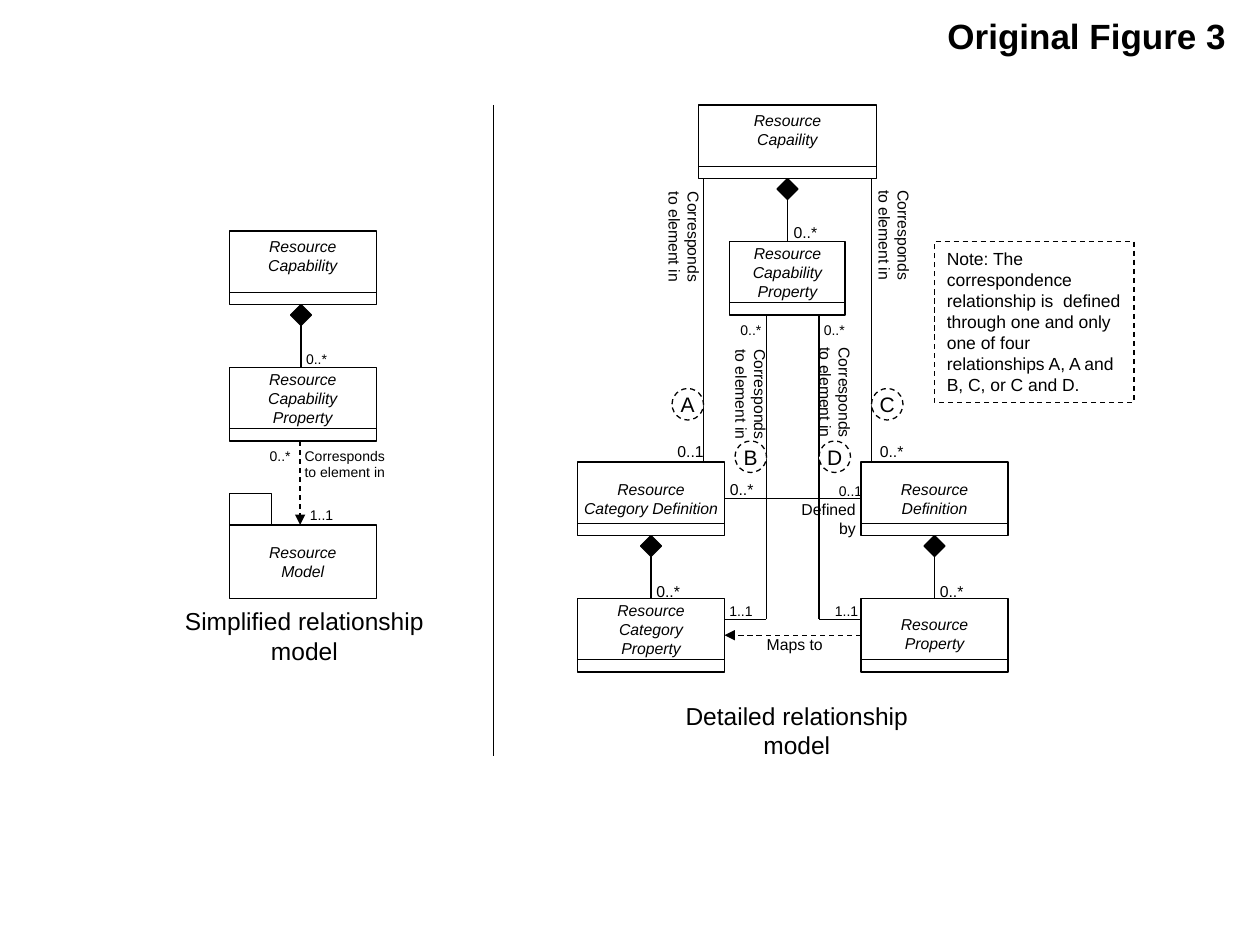
from pptx import Presentation
from pptx.dml.color import RGBColor as Rgb
from pptx.enum.dml import MSO_LINE as Dash
from pptx.enum.shapes import MSO_CONNECTOR as Conn, MSO_SHAPE as Kind
from pptx.enum.text import MSO_ANCHOR as Anchor, PP_ALIGN as Align
from pptx.oxml.ns import qn
from pptx.util import Pt
from lxml.etree import SubElement as Sub

INK = {"black": "000000", "white": "FFFFFF"}
TOP, MID = Anchor.TOP, Anchor.MIDDLE
LEFT, MIDDLE, RIGHT = Align.LEFT, Align.CENTER, Align.RIGHT
WIDE, HIGH = 84, 42
LINK = "Corresponds\nto element in"


def tint(name):
    return Rgb.from_string(INK[name])


def apply(item, vals):
    for key, val in vals.items():
        setattr(item, key, val)


def pen(line, dash=False):
    line.color.rgb = tint("black")
    line.width = Pt(0.75)
    if dash:
        line.dash_style = Dash.DASH


def write(shape, text, size, align=LEFT, anchor=TOP, wrap=False, inset=3.6, **style):
    frame = shape.text_frame
    apply(frame, {"text": text, "word_wrap": wrap, "vertical_anchor": anchor,
                  "margin_left": Pt(7.2), "margin_right": Pt(7.2),
                  "margin_top": Pt(inset), "margin_bottom": Pt(3.6)})
    for para in frame.paragraphs:
        para.alignment = align
        for run in para.runs:
            apply(run.font, {"name": "Arial", "size": Pt(size), **style})
            run.font.color.rgb = tint("black")


def label(pool, x, y, w, h, text, size, align=LEFT, turn=0, **style):
    box = pool.add_textbox(Pt(x), Pt(y), Pt(w), Pt(h))
    box.rotation = turn
    write(box, text, size, align, **style)


def form(pool, kind, x, y, w, h, fill="white", dash=False):
    shape = pool.add_shape(kind, Pt(x), Pt(y), Pt(w), Pt(h))
    shape.shadow.inherit = False
    if fill:
        shape.fill.solid()
        shape.fill.fore_color.rgb = tint(fill)
    else:
        shape.fill.background()
    pen(shape.line, dash)
    return shape


def line(pool, x, y, to_x, to_y, arrow=False):
    link = pool.add_connector(Conn.STRAIGHT, Pt(x), Pt(y), Pt(to_x), Pt(to_y))
    pen(link.line, arrow)
    props = link._element.spPr
    if arrow:
        Sub(props.find(qn("a:ln")), qn("a:tailEnd"), type="triangle")
    Sub(props, qn("a:effectLst"))


def entity(pool, x, y, text, w=WIDE, anchor=TOP, inset=3.6):
    group = pool.add_group_shape().shapes
    box = form(group, Kind.RECTANGLE, x, y, w, HIGH)
    write(box, text, 9, MIDDLE, anchor, inset=inset, italic=True)
    line(group, x, y + 35, x + w, y + 35)


def package(pool, x, y, text):
    group = pool.add_group_shape().shapes
    box = form(group, Kind.RECTANGLE, x, y, WIDE, HIGH)
    write(box, text, 9, MIDDLE, MID, italic=True)
    form(group, Kind.RECTANGLE, x, y - 18, 24, 18)


def owns(pool, x, y):
    line(pool, x, y, x, y + 36)
    form(pool, Kind.DIAMOND, x - 6, y, 12, 12, "black")


def simple(pool, x, y):
    entity(pool, x, y, "Resource\nCapability")
    entity(pool, x, y + 78, "Resource\nCapability\nProperty", inset=1.44)
    package(pool, x, y + 168, "Resource\nModel")
    owns(pool, x + 41, y + 42)
    line(pool, x + 40.5, y + 120, x + 40.5, y + 168, True)
    for dx, dy, w, h, text in (
            (16, 120, 26.6, 17, "0..*"), (39, 154, 28, 17, "1..1"),
            (36.8, 64.6, 26.6, 17, "0..*"), (36, 120, 60.5, 26.6, LINK)):
        label(pool, x + dx, y + dy, w, h, text, 8)
    label(pool, x - 33, y + 211, 152, 41, "Simplified relationship\nmodel", 14, MIDDLE)


def detail(pool, x, y):
    entity(pool, x + 69, y, "Resource\nCapaility", 102)
    entity(pool, x + 87, y + 78, "Resource\nCapability\nProperty", 66, inset=1.44)
    entity(pool, x, y + 204, "Resource\nCategory Definition", anchor=MID)
    entity(pool, x + 162, y + 204, "Resource\nDefinition", anchor=MID)
    entity(pool, x, y + 282, "Resource\nCategory\nProperty", inset=1.44)
    entity(pool, x + 162, y + 282, "Resource\nProperty", anchor=MID, inset=1.44)

    for dx, dy in ((120, 42), (42, 246), (204, 246)):
        owns(pool, x + dx, y + dy)
    for dx in (72, 168):
        line(pool, x + dx, y + 42, x + dx, y + 204)
    for dx, end in ((108, 84), (138, 162)):
        line(pool, x + dx, y + 120, x + dx, y + 294)
        line(pool, x + dx, y + 294, x + end, y + 294)
    line(pool, x + 162, y + 225, x + 84, y + 225)
    line(pool, x + 162, y + 303, x + 84, y + 303, True)

    for dx, dy, text in ((86, 120, "0..*"), (133.7, 120, "0..*"), (79.7, 281, "1..1"),
                         (140, 281, "1..1"), (142.3, 212, "0..1")):
        label(pool, x + dx, y + dy, 28 if "1" in text else 26.6, 17, text, 8)
    for dx, dy, w, h, text, align in (
            (116.4, 64, 28, 18, "0..*", LEFT), (50, 189, 29.5, 18, "0..1", LEFT),
            (38, 269, 28, 18, "0..*", LEFT), (200, 269, 28, 18, "0..*", LEFT),
            (165.4, 189, 28, 18, "0..*", RIGHT), (79.7, 210.7, 28, 18, "0..*", RIGHT),
            (100.6, 299.3, 47, 18, "Maps to", MIDDLE),
            (120.7, 222.2, 45.4, 29, "Defined\nby", RIGHT)):
        label(pool, x + dx, y + dy, w, h, text, 9, align)
    for dx, dy in ((28, 61), (148, 60), (114.2, 150), (66, 151)):
        label(pool, x + dx, y + dy, 66, 29, LINK, 9, turn=90)

    for dx, dy, text in ((54, 162, "A"), (90, 192, "B"), (138, 192, "D"), (168, 162, "C")):
        mark = form(pool, Kind.OVAL, x + dx, y + dy, 18, 18, dash=True)
        write(mark, text, 12, MIDDLE, MID)
    note = form(pool, Kind.RECTANGLE, x + 204, y + 78, 114, 92, None, True)
    write(note, "Note: The correspondence relationship is  defined through one and only "
          "one of four relationships A, A and B, C, or C and D.", 10, wrap=True)
    label(pool, x + 54, y + 337, 142.6, 41, "Detailed relationship\nmodel", 14, MIDDLE)


deck = Presentation()
apply(deck, {"slide_width": Pt(720), "slide_height": Pt(540)})
pool = deck.slides.add_slide(deck.slide_layouts[6]).shapes
simple(pool, 131, 132)
detail(pool, 330, 60)
line(pool, 282, 60, 282, 432)
label(pool, 533.5, 5, 175, 31.7, "Original Figure 3", 20, MIDDLE, bold=True)
deck.save("out.pptx")
